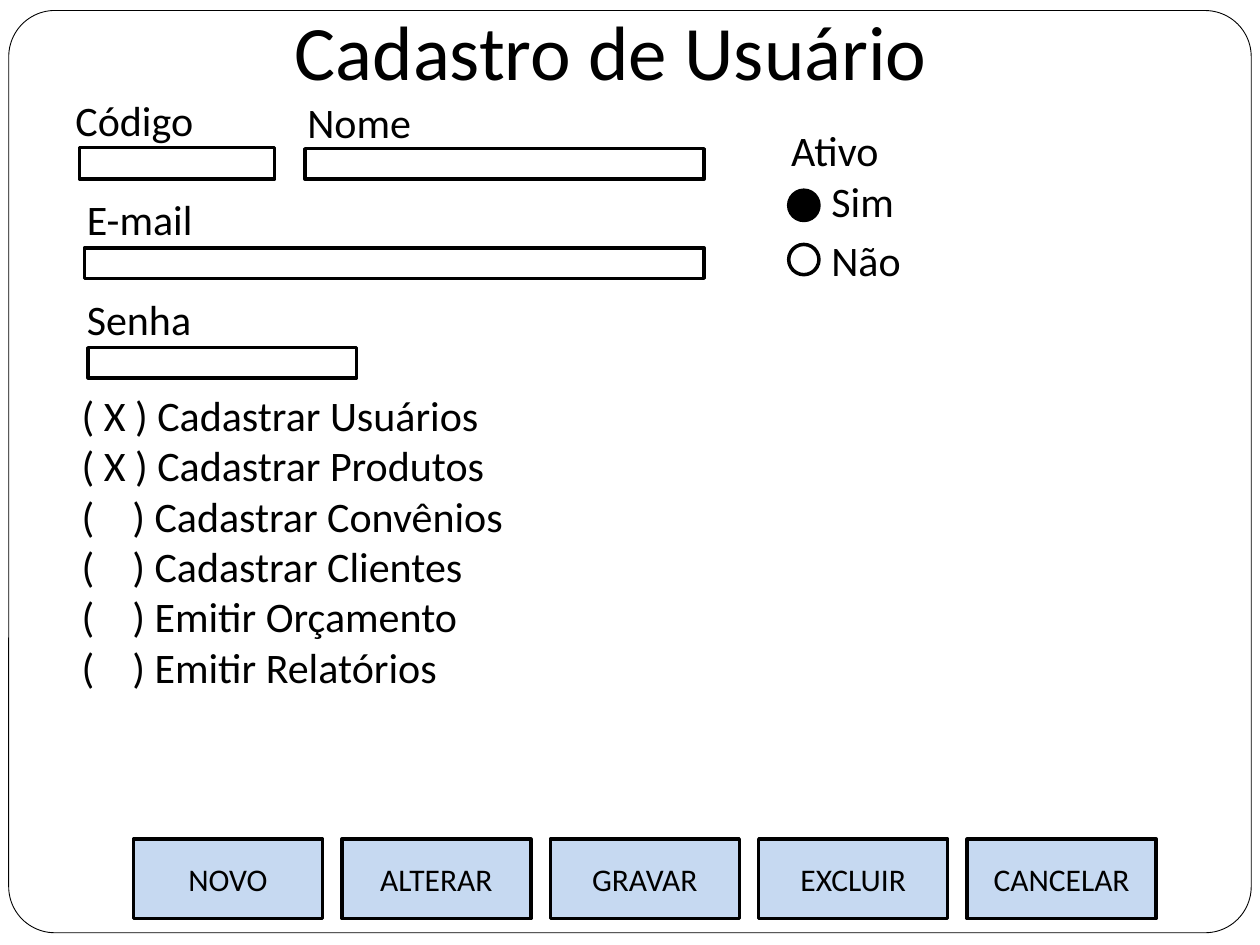
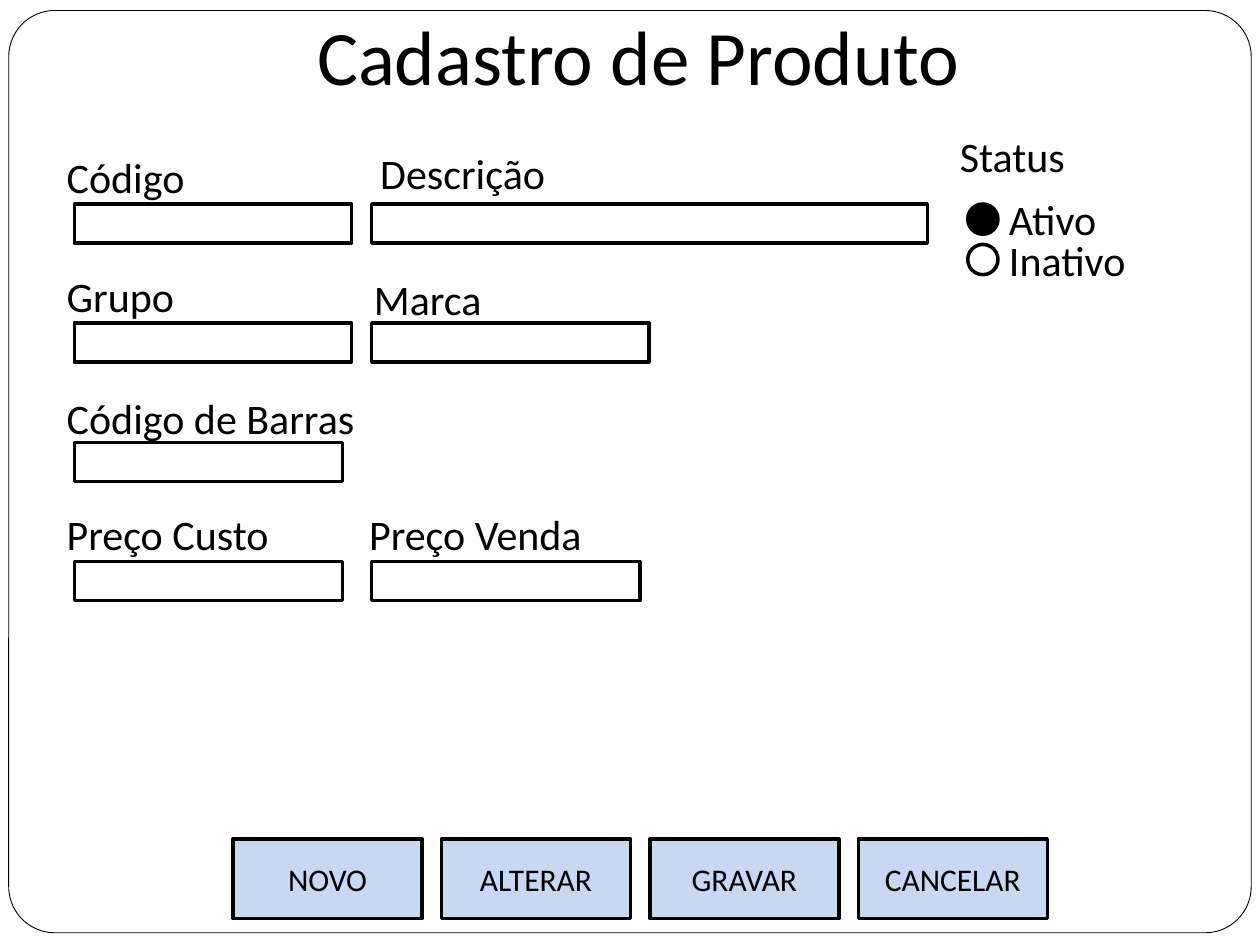
from dataclasses import dataclass

from pptx import Presentation
from pptx.dml.color import RGBColor
from pptx.enum.shapes import MSO_SHAPE
from pptx.enum.text import MSO_ANCHOR, MSO_AUTO_SIZE, PP_ALIGN
from pptx.util import Pt


@dataclass(frozen=True)
class Theme:
    """Colours, type sizes and line widths of the form screens."""

    ink: RGBColor = RGBColor(0x00, 0x00, 0x00)
    paper: RGBColor = RGBColor(0xFF, 0xFF, 0xFF)
    button: RGBColor = RGBColor(0xC6, 0xD9, 0xF1)
    font: str = "Calibri"
    title_size: float = 44
    label_size: float = 24
    button_size: float = 18
    frame_line: float = 0.5
    control_line: float = 2


THEME = Theme()
TITLE_ONLY = 5
LABEL_HEIGHT = 31.7
RADIO_SIZE = 17.3
BUTTON_TOP, BUTTON_WIDTH, BUTTON_HEIGHT, BUTTON_STEP = 479.5, 108, 45.4, 119.1
MARKS = {True: " X ", False: " " * 4}

USER_FIELDS = [
    ("Código", (36, 50.4, 170), (45.4, 84.2, 111.6, 18)),
    ("Nome", (168.5, 51.8, 170), (174.2, 85, 228.2, 17.3)),
    ("E-mail", (42.5, 107.3, 170), (48.2, 141.8, 354.2, 17.3)),
    ("Senha", (42.5, 164.2, 170), (50.4, 198.7, 153.4, 17.3)),
]
PERMISSIONS = [
    ("Cadastrar Usuários", True),
    ("Cadastrar Produtos", True),
    ("Cadastrar Convênios", False),
    ("Cadastrar Clientes", False),
    ("Emitir Orçamento", False),
    ("Emitir Relatórios", False),
]
PRODUCT_COLUMNS = (42.5, 212.4)
PRODUCT_TOP, PRODUCT_STEP, PRODUCT_HEIGHT = 116.6, 68.1, 22.3
PRODUCT_FIELDS = [
    ("Código", (31, 82.8, 277), 0, 0, 158.4),
    ("Descrição", (210.2, 80.6, 345), 0, 1, 317.5),
    ("Grupo", (31, 151.2, 170), 1, 0, 158.4),
    ("Marca", (206.6, 152.6, 164), 1, 1, 158.4),
    ("Código de Barras", (31, 221, 306), 2, 0, 153.4),
    ("Preço Custo", (31, 287.3, 275), 3, 0, 153.4),
    ("Preço Venda", (203.8, 287.3, 229.7), 3, 1, 153.4),
]


def set_format(target, values):
    """Set every attribute named in values on target."""
    for name, value in values.items():
        setattr(target, name, value)


def write(shape, lines, size, align=PP_ALIGN.LEFT, anchor=MSO_ANCHOR.TOP):
    """Fill a shape with one formatted paragraph per line."""
    frame = shape.text_frame
    frame.text = "\n".join(lines)
    set_format(frame, {
        "word_wrap": True,
        "auto_size": MSO_AUTO_SIZE.NONE,
        "vertical_anchor": anchor,
        "margin_left": Pt(7.2),
        "margin_right": Pt(7.2),
        "margin_top": Pt(3.6),
        "margin_bottom": Pt(3.6),
    })
    for paragraph in frame.paragraphs:
        paragraph.alignment = align
        set_format(paragraph.font, {"name": THEME.font, "size": Pt(size)})
        paragraph.font.color.rgb = THEME.ink


def add_outline(slide, preset, box, fill, width=THEME.control_line):
    """Draw a filled preset shape with an ink outline."""
    outline = slide.shapes.add_shape(preset, *map(Pt, box))
    outline.shadow.inherit = False
    outline.fill.solid()
    outline.fill.fore_color.rgb = fill
    outline.line.color.rgb = THEME.ink
    outline.line.width = Pt(width)
    return outline


def add_label(slide, lines, left, top, width, height=LABEL_HEIGHT):
    """Write label text in a box of its own."""
    label = slide.shapes.add_textbox(*map(Pt, (left, top, width, height)))
    write(label, lines, THEME.label_size)


def add_field(slide, caption, caption_place, box):
    """Draw an input box with its caption."""
    add_outline(slide, MSO_SHAPE.RECTANGLE, box, THEME.paper)
    add_label(slide, [caption], *caption_place)


def add_radio(slide, option, dot, caption_place, selected):
    """Draw a radio button with its option text."""
    fill = THEME.ink if selected else THEME.paper
    add_outline(slide, MSO_SHAPE.OVAL, (*dot, RADIO_SIZE, RADIO_SIZE), fill)
    add_label(slide, [option], *caption_place)


def add_buttons(slide, left, actions):
    """Draw the row of action buttons at an even step."""
    for index, action in enumerate(actions):
        box = (left + index * BUTTON_STEP, BUTTON_TOP, BUTTON_WIDTH, BUTTON_HEIGHT)
        button = add_outline(slide, MSO_SHAPE.RECTANGLE, box, THEME.button)
        write(button, [action], THEME.button_size, PP_ALIGN.CENTER, MSO_ANCHOR.MIDDLE)


def add_screen(deck, heading, place):
    """Add a title-only slide with its heading."""
    slide = deck.slides.add_slide(deck.slide_layouts[TITLE_ONLY])
    title = slide.shapes.title
    set_format(title, dict(zip(("left", "top", "width", "height"), map(Pt, place))))
    write(title, [heading], THEME.title_size, PP_ALIGN.CENTER, MSO_ANCHOR.MIDDLE)
    return slide


def share_frame(slide):
    """Draw the rounded window frame and move it to the slide's layout."""
    window = add_outline(slide, MSO_SHAPE.ROUNDED_RECTANGLE, (5, 6, 710, 527),
                         THEME.paper, THEME.frame_line)
    window.adjustments[0] = 0.05
    window.element.nvSpPr.cNvPr.id = 20
    slide.slide_layout.shapes.element.insert(2, window.element)


def build_user_screen(deck):
    """Build the user registration form."""
    slide = add_screen(deck, "Cadastro de Usuário", (25.2, 3.6, 648, 49.7))
    share_frame(slide)
    for field in USER_FIELDS:
        add_field(slide, *field)
    add_buttons(slide, 76.3, ["NOVO", "ALTERAR", "GRAVAR", "EXCLUIR", "CANCELAR"])
    add_label(slide, ["Ativo"], 445, 67.7, 170)
    add_radio(slide, "Sim", (450.7, 108.7), (468, 96.5, 164), True)
    add_radio(slide, "Não", (450.7, 139.7), (468, 130.3, 124.6), False)
    checklist = [f"({MARKS[granted]}) {task}" for task, granted in PERMISSIONS]
    add_label(slide, checklist, 39.6, 218.9, 448, 317.5)


def build_product_screen(deck):
    """Build the product registration form."""
    slide = add_screen(deck, "Cadastro de Produto", (41, -2, 648, 67))
    for caption, caption_place, row, column, width in PRODUCT_FIELDS:
        top = PRODUCT_TOP + row * PRODUCT_STEP
        box = (PRODUCT_COLUMNS[column], top, width, PRODUCT_HEIGHT)
        add_field(slide, caption, caption_place, box)
    add_buttons(slide, 133.2, ["NOVO", "ALTERAR", "GRAVAR", "CANCELAR"])
    add_label(slide, ["Status"], 541.4, 71.3, 170)
    add_radio(slide, "Ativo", (553, 116.6), (569.5, 107.3, 164), True)
    add_radio(slide, "Inativo", (553, 139.7), (569.5, 130.3, 164), False)


def main():
    """Build both form screens and save the deck."""
    deck = Presentation()
    set_format(deck, {"slide_width": Pt(720), "slide_height": Pt(540)})
    build_user_screen(deck)
    build_product_screen(deck)
    deck.save("out.pptx")


if __name__ == "__main__":
    main()
